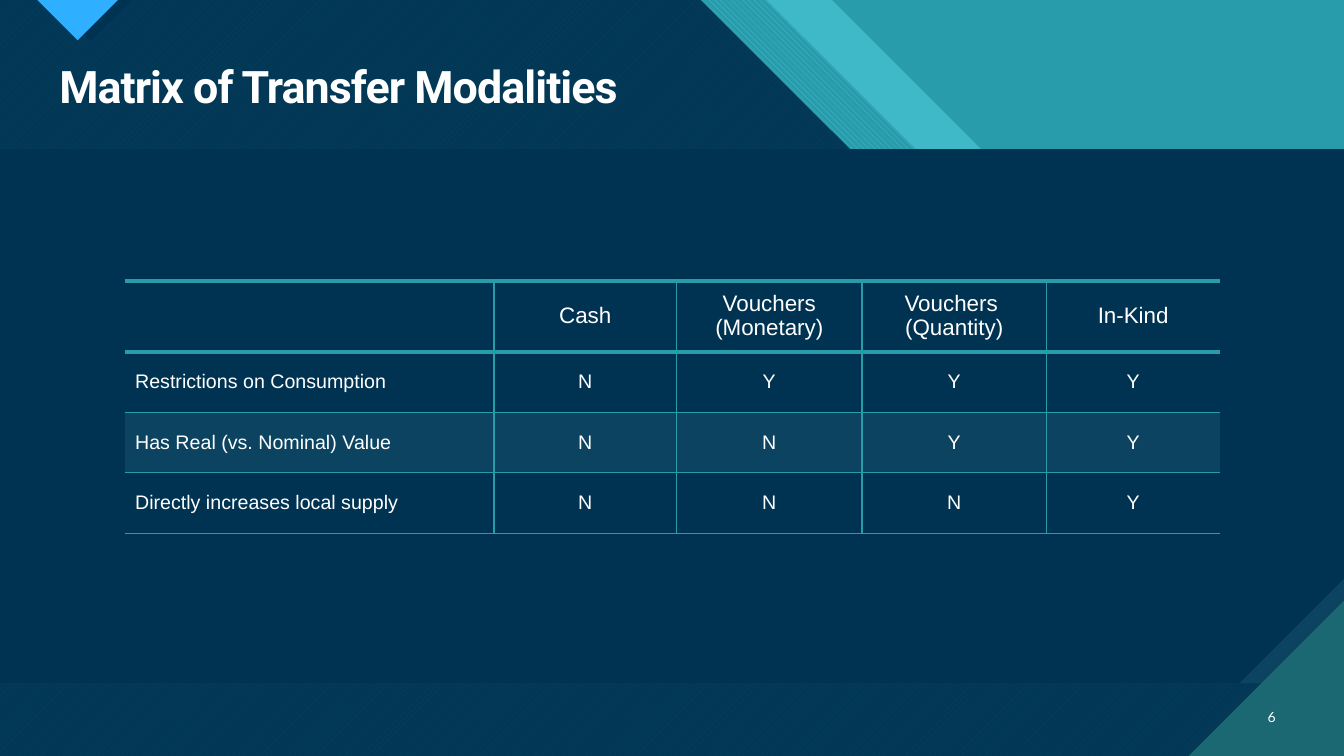
"""Builds the slide with the matrix of transfer modalities."""
from dataclasses import dataclass

from lxml.etree import SubElement
from pptx import Presentation
from pptx.dml.color import RGBColor
from pptx.enum.dml import MSO_PATTERN as Pattern
from pptx.enum.text import MSO_ANCHOR as Anchor, PP_ALIGN as Align
from pptx.oxml.ns import qn
from pptx.util import Inches, Pt

WIDTH, HEIGHT = 13.33, 7.5
PANEL_TOP, PANEL_BOTTOM, SNIP = 1.48, 6.78, 1.04
COLUMNS = [3.66, 1.81, 1.84, 1.83, 1.72]
ROWS = [0.7, 0.6, 0.6, 0.6]
MATRIX = [
    ["", "Cash", "Vouchers (Monetary)", "Vouchers \n(Quantity)", "In-Kind"],
    ["Restrictions on Consumption", *"NYYY"],
    ["Has Real (vs. Nominal) Value", *"NNYY"],
    ["Directly increases local supply", *"NNNY"],
]


@dataclass(frozen=True)
class Theme:
    """Colours, fonts and type sizes of the slide."""
    navy: str = "003352"
    slate: str = "0C4360"
    teal: str = "299CAB"
    aqua: str = "47C3D3"
    pine: str = "1B6872"
    blue: str = "2FAFFF"
    white: str = "FFFFFF"
    title_font: str = "Roboto"
    body_font: str = "Arial"
    number_font: str = "Lato"
    title_size: int = 32
    header_size: int = 16
    body_size: int = 14
    number_size: int = 10


def color(code):
    """Return the colour for a hex code."""
    return RGBColor.from_string(code)


def write_text(frame, text, *, font, size, ink, bold=False, align=Align.LEFT,
               line_spacing=None, tracking=None):
    """Write text into a frame, one paragraph per line."""
    for index, line in enumerate(text.split("\n")):
        para = frame.add_paragraph() if index else frame.paragraphs[0]
        para.alignment = align
        if line_spacing:
            para.line_spacing = line_spacing
        span = para.add_run()
        span.text = line
        span.font.name, span.font.size, span.font.bold = font, Pt(size), bold
        span.font.color.rgb = color(ink)
        if tracking is not None:
            span.font._element.set("spc", str(round(tracking * 100)))


class SlideBuilder:
    """Draws elements on one page in one theme."""

    def __init__(self, page, theme):
        """Keep the page and the theme, and paint the background."""
        self.page, self.theme = page, theme
        page.background.fill.solid()
        page.background.fill.fore_color.rgb = color(theme.teal)

    def polygon(self, points, fill, back=None, pattern=None, opacity=None):
        """Draw a closed outline with a solid or patterned fill."""
        corners = [(Inches(x), Inches(y)) for x, y in points]
        builder = self.page.shapes.build_freeform(*corners[0])
        builder.add_line_segments(corners[1:], close=True)
        shape = builder.convert_to_shape()
        shape.shadow.inherit = False
        shape.line.fill.background()
        if pattern:
            shape.fill.patterned()
            shape.fill.pattern = pattern
            shape.fill.back_color.rgb = color(back)
        else:
            shape.fill.solid()
        shape.fill.fore_color.rgb = color(fill)
        if opacity is not None:
            for paint in shape.element.spPr.iter(qn("a:srgbClr")):
                SubElement(paint, qn("a:alpha")).set("val", str(opacity * 1000))

    def text(self, left, top, width, height, text, **style):
        """Add a text box centred vertically."""
        box = self.page.shapes.add_textbox(
            Inches(left), Inches(top), Inches(width), Inches(height))
        box.text_frame.word_wrap = True
        box.text_frame.vertical_anchor = Anchor.MIDDLE
        write_text(box.text_frame, text, **style)

    def border(self, cell, side, points):
        """Set one border of a cell, or clear it when points is zero."""
        line = SubElement(cell._tc.get_or_add_tcPr(), qn(f"a:ln{side}"))
        line.set("w", str(Pt(points)))
        if points:
            paint = SubElement(line, qn("a:solidFill"))
            SubElement(paint, qn("a:srgbClr")).set("val", self.theme.teal)
        else:
            SubElement(line, qn("a:noFill"))

    def matrix(self, left, top, rows):
        """Add the matrix with ruled rows and inner column lines."""
        theme = self.theme
        table = self.page.shapes.add_table(
            len(ROWS), len(COLUMNS), Inches(left), Inches(top),
            Inches(sum(COLUMNS)), Inches(sum(ROWS))).table
        table.horz_banding = table.first_row = False
        for column, width in zip(table.columns, COLUMNS):
            column.width = Inches(width)
        for row, height in zip(table.rows, ROWS):
            row.height = Inches(height)
        for r, values in enumerate(rows):
            for c, value in enumerate(values):
                cell = table.cell(r, c)
                self.border(cell, "L", 1 if c else 0)
                self.border(cell, "R", 1 if c < len(COLUMNS) - 1 else 0)
                self.border(cell, "T", 3 if r < 2 else 1)
                self.border(cell, "B", 1 if r else 3)
                if r == 2:
                    cell.fill.solid()
                    cell.fill.fore_color.rgb = color(theme.slate)
                else:
                    cell.fill.background()
                cell.vertical_anchor = Anchor.MIDDLE
                if value:
                    write_text(cell.text_frame, value, font=theme.body_font,
                               size=theme.body_size if r else theme.header_size,
                               ink=theme.white, line_spacing=None if r else 0.93,
                               align=Align.CENTER if c else Align.LEFT)


def slope(start, shelf, shoulder, end):
    """Return a page-wide outline with a diagonal right edge."""
    return [(0, 0), (start, 0), (start + shelf, shelf), (shoulder, shelf),
            (WIDTH, end), (WIDTH, HEIGHT), (0, HEIGHT)]


def main():
    """Build and save the deck."""
    deck = Presentation()
    deck.slide_width, deck.slide_height = Inches(WIDTH), Inches(HEIGHT)
    theme = Theme()
    page = SlideBuilder(deck.slides.add_slide(deck.slide_layouts[6]), theme)

    navy_slope = slope(6.95, 2.97, 11.18, 5.12)
    page.polygon(slope(8.25, 2.97, 12.34, 3.96), theme.aqua, opacity=74)
    page.polygon(slope(7.6, 2.97, 11.84, 4.47), theme.aqua, theme.teal,
                 Pattern.WIDE_DOWNWARD_DIAGONAL)
    page.polygon(navy_slope, theme.aqua, theme.pine,
                 Pattern.WIDE_UPWARD_DIAGONAL)
    page.polygon(navy_slope, theme.navy, opacity=90)
    page.polygon([(0.48, 0), (1.31, 0), (0.9, 0.41)], theme.navy)
    page.polygon([(0.37, 0), (1.17, 0), (0.77, 0.4)], theme.blue)
    for snip, fill in [(0, theme.slate), (SNIP, theme.navy)]:
        page.polygon([(0, PANEL_TOP), (WIDTH, PANEL_TOP),
                      (WIDTH, PANEL_BOTTOM - snip),
                      (WIDTH - snip, PANEL_BOTTOM), (0, PANEL_BOTTOM)], fill)
    page.polygon([(11.79, HEIGHT), (WIDTH, HEIGHT), (WIDTH, 5.96)], theme.pine)

    page.text(0.49, 0.59, 12.26, 0.59, "Matrix of Transfer Modalities",
              font=theme.title_font, size=theme.title_size, ink=theme.white,
              bold=True, line_spacing=0.9, tracking=-0.7)
    page.matrix(1.24, 2.79, MATRIX)
    page.text(12.31, 6.91, 0.44, 0.4, "6", font=theme.number_font,
              size=theme.number_size, ink=theme.white, align=Align.RIGHT)
    deck.save("out.pptx")


if __name__ == "__main__":
    main()
